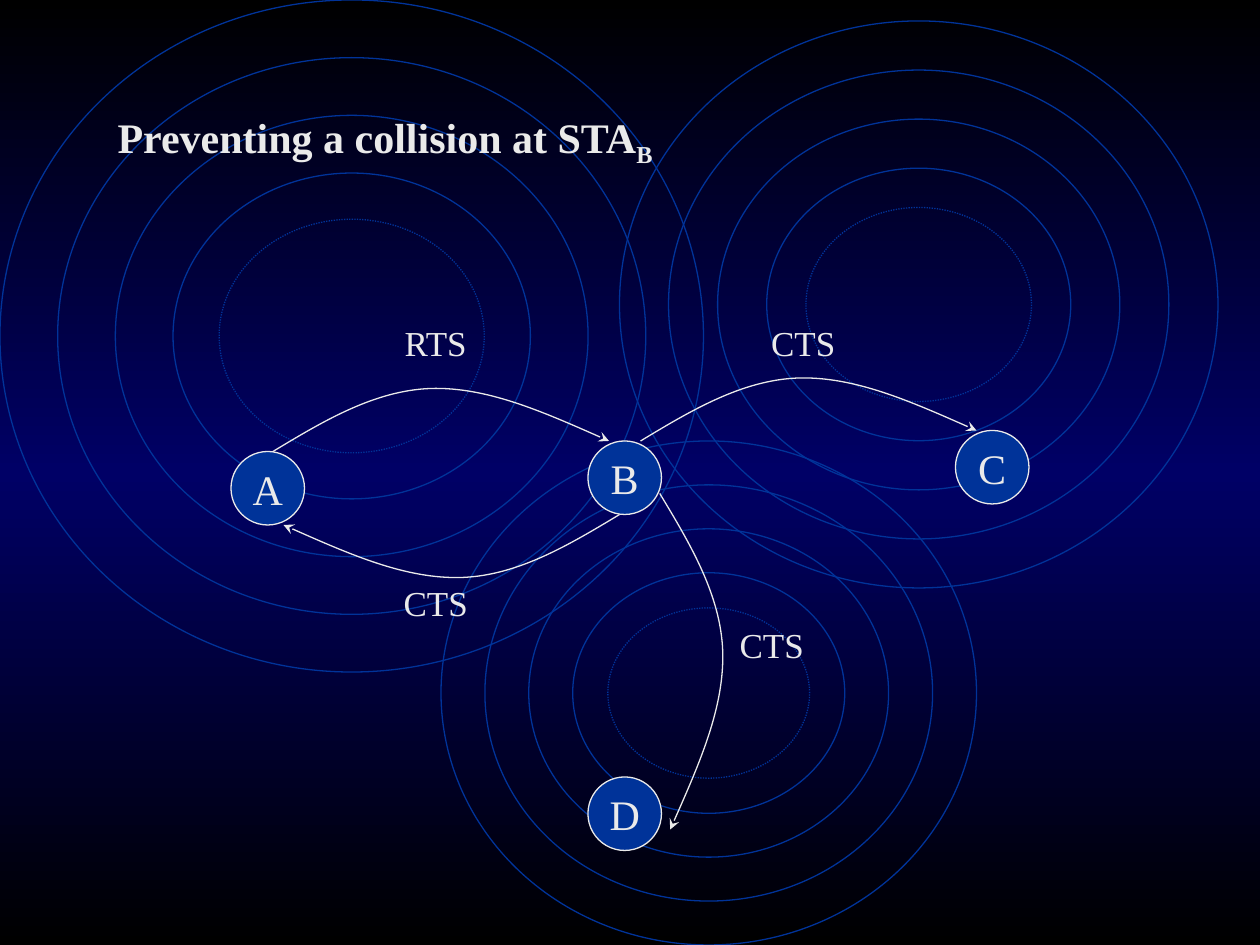
from copy import deepcopy
from pptx import Presentation
from pptx.dml.color import RGBColor
from pptx.enum.dml import MSO_LINE as Dash
from pptx.enum.shapes import MSO_SHAPE as Kind
from pptx.enum.text import MSO_ANCHOR as Anchor, PP_ALIGN as Align
from pptx.oxml.ns import qn
from pptx.util import Pt
from lxml.etree import SubElement

FONT = "Times New Roman"
BLUE, PALE = "003399", "EAEAEA"
SIZE = 42
ARC = [(29, -17.5), (58, -34.8), (90, -36), (122, -37), (157, -21.5), (192, -6)]


def tint(color, code):
    color.rgb = RGBColor.from_string(code)


def stroke(shape, code):
    shape.shadow.inherit = False
    shape.line.width = Pt(0.75)
    tint(shape.line.color, code)


def style(para, size, align, bold=False):
    para.alignment = align
    para.space_before = Pt(0)
    for run in para.runs:
        run.font.name = FONT
        run.font.size = Pt(size)
        run.font.bold = bold
        tint(run.font.color, PALE)


def shade(slide, codes):
    fill = slide.background.fill
    fill.gradient()
    fill.gradient_angle = 90
    stops = slide._element.find(".//" + qn("a:gsLst"))
    stops.append(deepcopy(stops[0]))
    for num, (stop, code) in enumerate(zip(fill.gradient_stops, codes)):
        stop.position = num / (len(codes) - 1)
        tint(stop.color, code)


def oval(slide, x, y, w, h, code):
    shape = slide.shapes.add_shape(Kind.OVAL, Pt(x), Pt(y), Pt(w), Pt(h))
    stroke(shape, code)
    return shape


def rings(slide, x, y, w, h):
    for step in (0, 1, 2, 3, 3.8):
        gap = step * 0.082 * w
        ring = oval(slide, x + gap, y + gap, w - 2 * gap, h - 2 * gap, BLUE)
        ring.fill.background()
    ring.line.dash_style = Dash.ROUND_DOT


def node(slide, name, x, y):
    shape = oval(slide, x, y, SIZE, SIZE, PALE)
    shape.fill.solid()
    tint(shape.fill.fore_color, BLUE)
    frame = shape.text_frame
    frame.word_wrap = False
    frame.vertical_anchor = Anchor.MIDDLE
    frame.text = name
    style(frame.paragraphs[0], 24, Align.CENTER)


def bend(route):
    lines = route.findall(qn("a:lnTo"))
    for first in range(0, len(lines), 3):
        curve = SubElement(route, qn("a:cubicBezTo"))
        for line in lines[first:first + 3]:
            curve.append(line[0])
            route.remove(line)


def arrow(slide, x, y, turns):
    spots = ARC
    for _ in range(turns):
        spots = [(-dy, dx) for dx, dy in spots]
    pen = slide.shapes.build_freeform(Pt(x), Pt(y))
    pen.add_line_segments([(Pt(x + dx), Pt(y + dy)) for dx, dy in spots], close=False)
    shape = pen.convert_to_shape()
    bend(shape._element.find(".//" + qn("a:path")))
    shape.fill.background()
    stroke(shape, PALE)
    SubElement(shape.line._get_or_add_ln(), qn("a:tailEnd"), type="stealth")


def label(slide, text, x, y):
    frame = slide.shapes.add_textbox(Pt(x), Pt(y), Pt(66), Pt(31.5)).text_frame
    frame.word_wrap = True
    frame.text = text
    style(frame.paragraphs[0], 20, Align.CENTER)


def head(slide, x, y, w, h):
    title = slide.shapes.title
    title.left, title.top, title.width, title.height = Pt(x), Pt(y), Pt(w), Pt(h)
    frame = title.text_frame
    frame.vertical_anchor = Anchor.TOP
    frame.word_wrap = True
    para = frame.paragraphs[0]
    para.text = "Preventing a collision at STA"
    sub = para.add_run()
    sub.text = "B"
    style(para, 24, Align.LEFT, True)
    sub.font._element.set("baseline", "-25000")
    slide.shapes._spTree.append(title._element)


def main():
    deck = Presentation()
    deck.slide_width, deck.slide_height = Pt(720), Pt(540)
    slide = deck.slides.add_slide(deck.slide_layouts[5])
    shade(slide, ["000000", "000066", "000000"])
    for box in [(0, 0, 402, 384), (252, 252, 306, 288), (354, 12, 342, 324)]:
        rings(slide, *box)
    for name, x, y in [("A", 132, 258), ("C", 546, 246), ("D", 336, 444), ("B", 336, 252)]:
        node(slide, name, x, y)
    for x, y, turns in [(156, 258, 0), (354, 294, 2), (366, 252, 0), (377, 282, 1)]:
        arrow(slide, x, y, turns)
    for text, x, y in [("RTS", 216, 180), ("CTS", 216, 329), ("CTS", 426, 180), ("CTS", 408, 353)]:
        label(slide, text, x, y)
    head(slide, 60, 60, 384, 40)
    deck.save("out.pptx")


if __name__ == "__main__":
    main()
